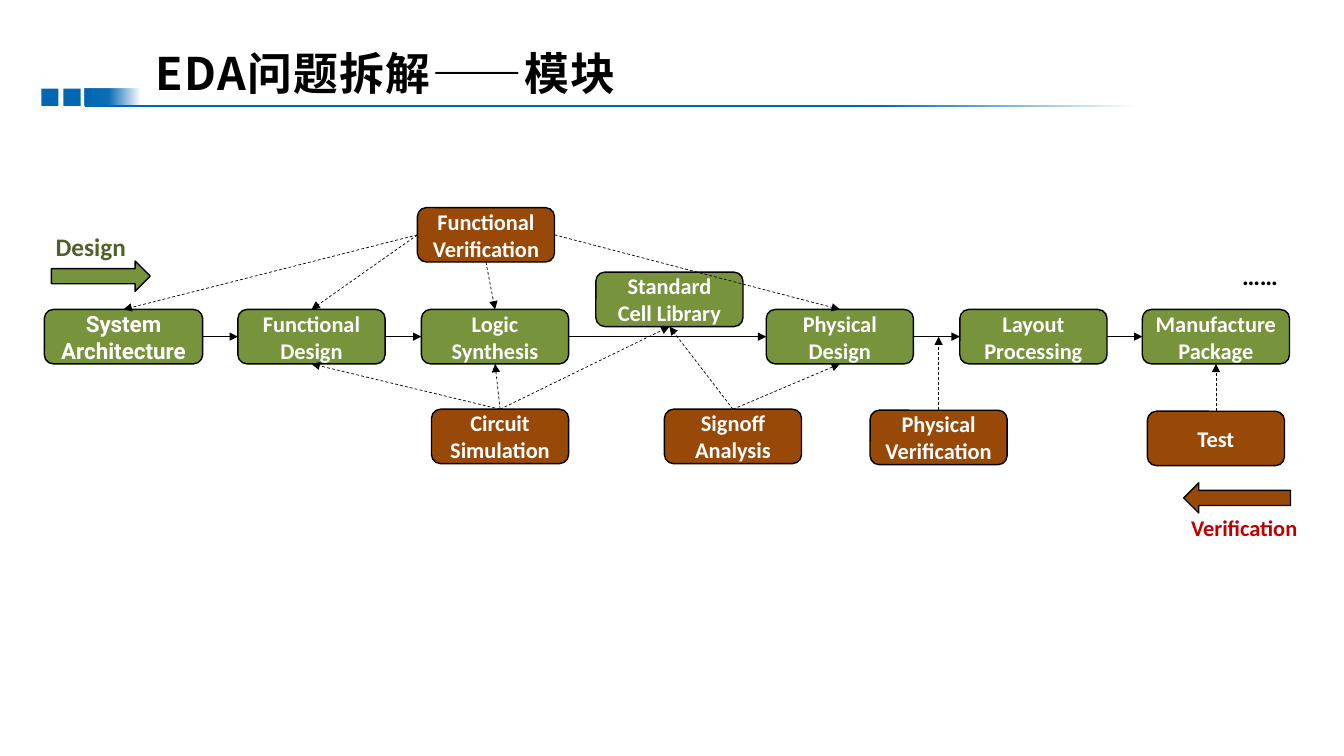
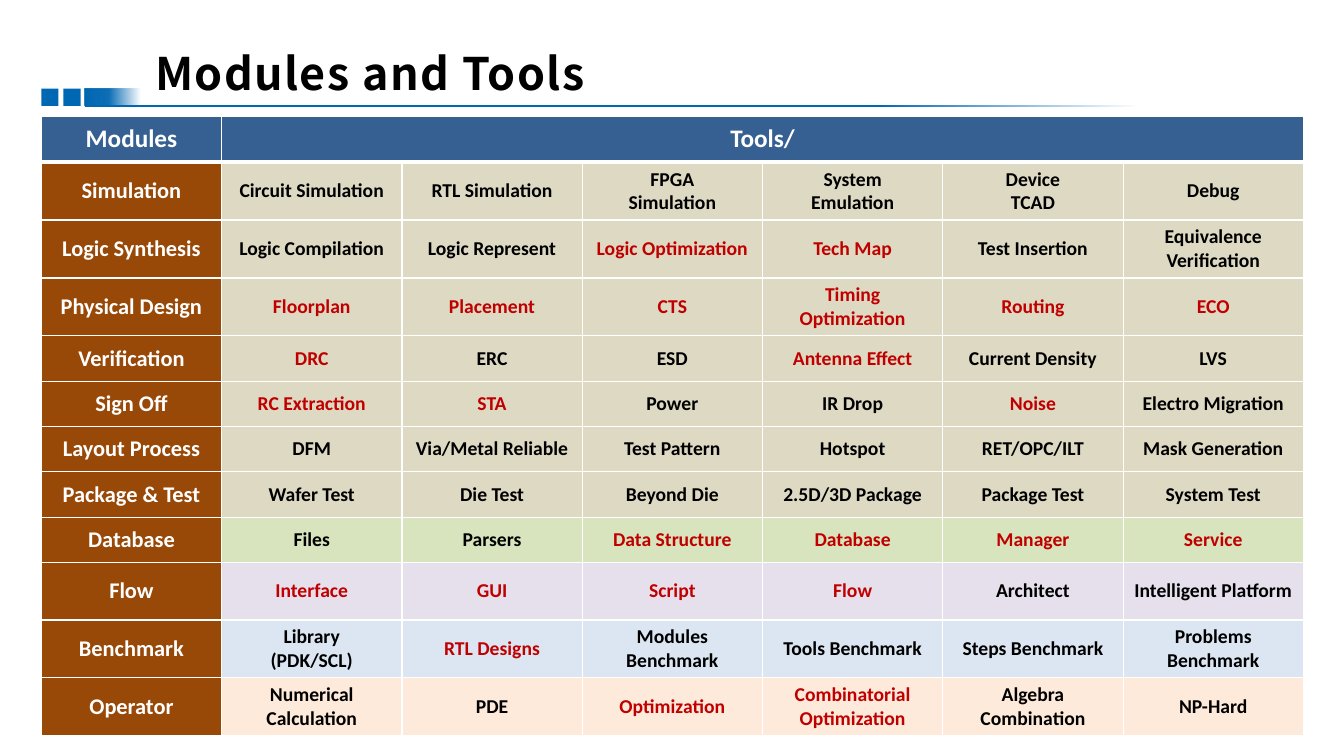
from dataclasses import dataclass
from typing import NamedTuple

from lxml.etree import SubElement
from pptx import Presentation
from pptx.dml.color import RGBColor
from pptx.enum.dml import MSO_LINE
from pptx.enum.shapes import MSO_CONNECTOR, MSO_SHAPE
from pptx.enum.text import MSO_ANCHOR, MSO_AUTO_SIZE, PP_ALIGN
from pptx.oxml.ns import qn
from pptx.util import Inches, Pt

BLUE, WHITE, BLACK = "0067B3", "FFFFFF", "000000"
GREEN, BROWN, RED, DARK_GREEN = "77933C", "984807", "C00000", "4F6228"
HEADER_BLUE, SAND, MINT, LILAC, SKY, PEACH = (
    "376092", "DDD9C3", "D7E4BD", "E6E0EC", "DCE6F2", "FDEADA")
BODY_FONT, TITLE_FONT = "Calibri", "Noto Sans CJK SC"
TOP, LEFT, BOTTOM, RIGHT = range(4)
STAGE_TOP, STAGE_WIDTH, CHECK_WIDTH, BOX_HEIGHT = 3.07, 1.46, 1.36, 0.54
TALL, SHORT = 0.57, 0.45


class Place(NamedTuple):
    left: float
    top: float
    width: float
    height: float


class Stop(NamedTuple):
    position: int
    color: str
    alpha: int = 100


@dataclass(frozen=True)
class Box:
    text: str
    left: float
    top: float = STAGE_TOP
    width: float = STAGE_WIDTH
    color: str = GREEN
    font: str = BODY_FONT


@dataclass(frozen=True)
class Link:
    start: str
    start_side: int
    end: str
    end_side: int
    dashed: bool = True


@dataclass(frozen=True)
class Label:
    text: str
    place: Place
    size: int
    color: str
    inset: float = 0.09
    align: PP_ALIGN = PP_ALIGN.CENTER
    line_spacing: float = 0.9


@dataclass(frozen=True)
class Module:
    name: str
    tools: tuple[str, ...]
    red: tuple[int, ...] = ()
    height: float = SHORT
    fill: str = SAND


BOXES = {
    "system": Box("System Architecture", 0.44, width=1.57, font="Roboto"),
    "function": Box("Functional Design", 2.36),
    "logic": Box("Logic Synthesis", 4.18),
    "library": Box("Standard Cell Library", 5.91, 2.7),
    "physical": Box("Physical Design", 7.6),
    "layout": Box("Layout Processing", 9.52),
    "manufacture": Box("Manufacture Package", 11.33),
    "function check": Box("Functional\nVerification", 4.14, 2.06, CHECK_WIDTH, BROWN),
    "simulation": Box("Circuit Simulation", 4.28, 4.06, CHECK_WIDTH, BROWN),
    "signoff": Box("Signoff Analysis", 6.59, 4.06, CHECK_WIDTH, BROWN),
    "physical check": Box("Physical Verification", 8.63, 4.07, CHECK_WIDTH, BROWN),
    "test": Box("Test", 11.38, 4.08, CHECK_WIDTH, BROWN),
}
FLOW = ("system", "function", "logic", "physical", "layout", "manufacture")
LINKS = [Link(start, RIGHT, end, LEFT, False) for start, end in zip(FLOW, FLOW[1:])] + [
    Link("function check", LEFT, "system", TOP),
    Link("function check", LEFT, "function", TOP),
    Link("function check", BOTTOM, "logic", TOP),
    Link("function check", RIGHT, "physical", TOP),
    Link("simulation", TOP, "function", BOTTOM),
    Link("simulation", TOP, "logic", BOTTOM),
    Link("simulation", TOP, "library", BOTTOM),
    Link("signoff", TOP, "library", BOTTOM),
    Link("signoff", TOP, "physical", BOTTOM),
    Link("test", TOP, "manufacture", BOTTOM),
]
LABELS = (
    Label("Design", Place(0.42, 2.24, 0.96, 0.4), 18, DARK_GREEN),
    Label("Verification", Place(11.68, 5.04, 1.32, 0.4), 16, RED),
    Label("……", Place(12.22, 2.49, 0.59, 0.4), 18, BLACK, 0.1, PP_ALIGN.LEFT, 1.0),
)
MODULES = (
    Module("Simulation", ("Circuit Simulation", "RTL Simulation", "FPGA\nSimulation",
                          "System\nEmulation", "Device\nTCAD", "Debug"), height=TALL),
    Module("Logic Synthesis", ("Logic Compilation", "Logic Represent", "Logic Optimization",
                               "Tech Map", "Test Insertion", "Equivalence Verification"),
           (2, 3), TALL),
    Module("Physical Design", ("Floorplan", "Placement", "CTS", "Timing Optimization",
                               "Routing", "ECO"), (0, 1, 2, 3, 4, 5), TALL),
    Module("Verification", ("DRC", "ERC", "ESD", "Antenna Effect", "Current Density", "LVS"),
           (0, 3)),
    Module("Sign Off", ("RC Extraction", "STA", "Power", "IR Drop", "Noise",
                        "Electro Migration"), (0, 1, 4)),
    Module("Layout Process", ("DFM", "Via/Metal Reliable", "Test Pattern", "Hotspot",
                              "RET/OPC/ILT", "Mask Generation")),
    Module("Package & Test", ("Wafer Test", "Die Test", "Beyond Die", "2.5D/3D Package",
                              "Package Test", "System Test")),
    Module("Database", ("Files", "Parsers", "Data Structure", "Database", "Manager",
                        "Service"), (2, 3, 4, 5), fill=MINT),
    Module("Flow", ("Interface", "GUI", "Script", "Flow", "Architect",
                    "Intelligent Platform"), (0, 1, 2, 3), TALL, LILAC),
    Module("Benchmark", ("Library\n(PDK/SCL)", "RTL Designs", "Modules Benchmark",
                         "Tools Benchmark", "Steps Benchmark", "Problems Benchmark"),
           (1,), TALL, SKY),
    Module("Operator", ("Numerical Calculation", "PDE", "Optimization",
                        "Combinatorial Optimization", "Algebra\nCombination", "NP-Hard"),
           (2, 3), TALL, PEACH),
)


def rgb(color: str) -> RGBColor:
    return RGBColor.from_string(color)


def inches(place: Place) -> list[int]:
    return [Inches(length) for length in place]


def write(frame, text: str, size: int, color: str, font: str = BODY_FONT,
          align: PP_ALIGN = PP_ALIGN.CENTER, line_spacing: float = 1.0) -> None:
    frame.text = text
    for para in frame.paragraphs:
        para.alignment = align
        para.line_spacing = line_spacing
        for span in para.runs:
            span.font.name = font
            span.font.size = Pt(size)
            span.font.bold = True
            span.font.color.rgb = rgb(color)


def add_block(page, kind: MSO_SHAPE, place: Place, color: str, outlined: bool = True):
    shape = page.shapes.add_shape(kind, *inches(place))
    shape.shadow.inherit = False
    shape.fill.solid()
    shape.fill.fore_color.rgb = rgb(color)
    if outlined:
        shape.line.color.rgb = rgb(BLACK)
        shape.line.width = Pt(1)
    else:
        shape.line.fill.background()
    return shape


def fade(shape, stops: tuple[Stop, ...]) -> None:
    shape.fill.gradient()
    shape.fill.gradient_angle = 0
    stop_list = shape.element.spPr.find(".//" + qn("a:gsLst"))
    stop_list.clear()
    for stop in stops:
        mark = SubElement(stop_list, qn("a:gs"), pos=str(stop.position * 1000))
        tint = SubElement(mark, qn("a:srgbClr"), val=stop.color)
        if stop.alpha < 100:
            SubElement(tint, qn("a:alpha"), val=str(stop.alpha * 1000))


def decorate_layout(layout, page) -> None:
    squares = [add_block(page, MSO_SHAPE.RECTANGLE, Place(left, 0.88, 0.17, 0.17), BLUE, False)
               for left in (0.41, 0.63)]
    bar = add_block(page, MSO_SHAPE.RECTANGLE, Place(0.84, 0.88, 0.55, 0.17), BLUE, False)
    fade(bar, (Stop(0, BLUE), Stop(44, BLUE, 94), Stop(100, BLUE, 0)))
    rule = add_block(page, MSO_SHAPE.RECTANGLE, Place(0.84, 1.04, 10.47, 0.02), BLUE, False)
    fade(rule, (Stop(50, BLUE), Stop(75, BLUE), Stop(100, WHITE)))
    for number, shape in enumerate((*squares, bar, rule), 100):
        shape.element.nvSpPr.cNvPr.set("id", str(number))
        layout.shapes.element.append(shape.element)


def add_page(deck, layout, heading: str):
    page = deck.slides.add_slide(layout)
    title = page.shapes.title
    title.left, title.top, title.width, title.height = inches(Place(1.44, 0.48, 8.59, 0.54))
    frame = title.text_frame
    frame.auto_size = MSO_AUTO_SIZE.NONE
    frame.vertical_anchor = MSO_ANCHOR.MIDDLE
    write(frame, heading, 32, BLACK, TITLE_FONT, PP_ALIGN.LEFT, 0.9)
    for properties in title.element.iter(qn("a:rPr")):
        properties.set("spc", "100")
        SubElement(properties, qn("a:ea"), typeface=TITLE_FONT)
    return page


def add_box(page, box: Box):
    shape = add_block(page, MSO_SHAPE.ROUNDED_RECTANGLE,
                      Place(box.left, box.top, box.width, BOX_HEIGHT), box.color)
    shape.text_frame.word_wrap = True
    shape.text_frame.vertical_anchor = MSO_ANCHOR.MIDDLE
    write(shape.text_frame, box.text, 16, WHITE, box.font)
    return shape


def add_arrow(page, dashed: bool, end_left: float = 0, end_top: float = 0):
    arrow = page.shapes.add_connector(MSO_CONNECTOR.STRAIGHT, 0, 0,
                                      Inches(end_left), Inches(end_top))
    arrow.line.color.rgb = rgb(BLACK)
    arrow.line.width = Pt(0.5 if dashed else 0.75)
    if dashed:
        arrow.line.dash_style = MSO_LINE.DASH
    SubElement(arrow.line._get_or_add_ln(), qn("a:tailEnd"), type="triangle")
    SubElement(arrow.element.spPr, qn("a:effectLst"))
    return arrow


def add_label(page, label: Label) -> None:
    frame = page.shapes.add_textbox(*inches(label.place)).text_frame
    frame.word_wrap = True
    frame.margin_left = frame.margin_right = Inches(label.inset)
    frame.margin_top = frame.margin_bottom = Inches(min(label.inset, 0.09))
    write(frame, label.text, label.size, label.color, align=label.align,
          line_spacing=label.line_spacing)


def draw_flow(page) -> None:
    shapes = {name: add_box(page, box) for name, box in BOXES.items()}
    for link in LINKS:
        arrow = add_arrow(page, link.dashed)
        arrow.begin_connect(shapes[link.start], link.start_side)
        arrow.end_connect(shapes[link.end], link.end_side)
    add_arrow(page, True, 9.31, 3.34).begin_connect(shapes["physical check"], TOP)
    add_block(page, MSO_SHAPE.RIGHT_ARROW, Place(0.51, 2.59, 0.98, 0.3), GREEN)
    add_block(page, MSO_SHAPE.LEFT_ARROW, Place(11.74, 4.79, 1.06, 0.3), BROWN)
    for label in LABELS:
        add_label(page, label)


def fill_cell(cell, text: str, size: int, color: str, fill: str, bottom: int = 1) -> None:
    write(cell.text_frame, text, size, color)
    cell.vertical_anchor = MSO_ANCHOR.MIDDLE
    properties = cell._tc.get_or_add_tcPr()
    for side, points in (("L", 1), ("R", 1), ("T", 1), ("B", bottom)):
        border = SubElement(properties, qn(f"a:ln{side}"), w=str(Pt(points)))
        SubElement(SubElement(border, qn("a:solidFill")), qn("a:srgbClr"), val=WHITE)
    cell.fill.solid()
    cell.fill.fore_color.rgb = rgb(fill)


def draw_table(page) -> None:
    heights = [0.46] + [module.height for module in MODULES]
    place = Place(0.41, 1.15, 12.52, sum(heights))
    table = page.shapes.add_table(len(heights), 7, *inches(place)).table
    table.horz_banding = False
    for row, height in zip(table.rows, heights):
        row.height = Inches(height)
    table.cell(0, 1).merge(table.cell(0, 6))
    for column, heading in enumerate(("Modules", "Tools/")):
        fill_cell(table.cell(0, column), heading, 18, WHITE, HEADER_BLUE, 3)
    for row, module in enumerate(MODULES, 1):
        fill_cell(table.cell(row, 0), module.name, 16, WHITE, BROWN)
        for column, tool in enumerate(module.tools):
            color = RED if column in module.red else BLACK
            fill_cell(table.cell(row, column + 1), tool, 14, color, module.fill)


def main() -> None:
    deck = Presentation()
    deck.slide_width, deck.slide_height = Inches(13.33), Inches(7.5)
    layout = deck.slide_layouts[5]
    flow_page = add_page(deck, layout, "EDA问题拆解——模块")
    decorate_layout(layout, flow_page)
    draw_flow(flow_page)
    draw_table(add_page(deck, layout, "Modules and Tools"))
    deck.save("out.pptx")


if __name__ == "__main__":
    main()
